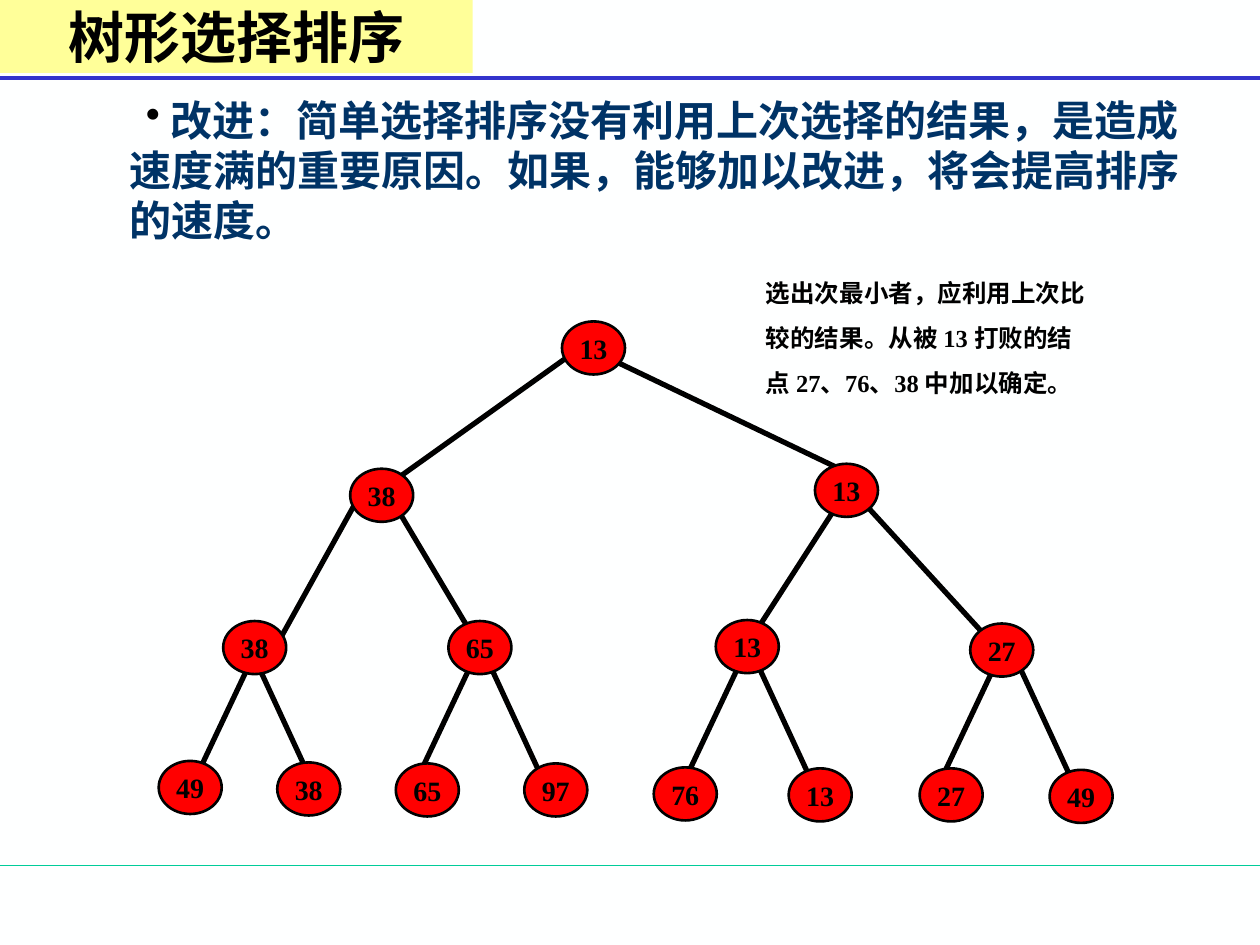
from lxml import etree
from pptx import Presentation
from pptx.dml.color import RGBColor
from pptx.enum.shapes import MSO_CONNECTOR, MSO_SHAPE
from pptx.enum.text import MSO_ANCHOR, PP_ALIGN
from pptx.oxml.ns import qn
from pptx.util import Cm, Pt

LINE = MSO_CONNECTOR.STRAIGHT
OVAL, RECT = MSO_SHAPE.OVAL, MSO_SHAPE.RECTANGLE
MIDDLE, CENTER = MSO_ANCHOR.MIDDLE, PP_ALIGN.CENTER

BLACK = RGBColor(0, 0, 0)
PAPER = RGBColor(0xFE, 0xFF, 0xFF)
RED = RGBColor(0xFF, 0, 0)
NAVY = RGBColor(0, 0x33, 0x66)
BLUE = RGBColor(0x33, 0x33, 0xCC)
GREEN = RGBColor(0, 0xCC, 0x99)
YELLOW = RGBColor(0xFF, 0xFF, 0x99)

SERIF, SANS = "Times New Roman", "Noto Sans CJK SC"
NODE_W, NODE_H = 1.27, 1.07
LEFT, RIGHT = (-1.53, 3.24), (1.35, 2.92)  # spans of the leaf edges

# Value, left and top of each node, level by level
NODES = [
    ("13", 8.13, 0),
    ("38", 3.86, 2.97), ("13", 13.23, 2.87),
    ("38", 1.3, 6.04), ("65", 5.84, 6.04),
    ("13", 11.23, 6.02), ("27", 16.36, 6.09),
    ("49", 0, 8.86), ("38", 2.39, 8.89), ("65", 4.78, 8.91),
    ("97", 7.37, 8.91), ("76", 9.98, 8.99), ("13", 12.7, 9.01),
    ("27", 15.34, 9.01), ("49", 17.96, 9.04),
]
# Start and span of each edge, in the order of the child nodes
EDGES = [
    (8.53, 0.51, (-4.19, 2.99)), (8.84, 0.63, (5.26, 2.52)),
    (4.22, 3.2, (-2.04, 3.68)), (4.72, 3.63, (1.66, 2.79)),
    (13.84, 3.45, (-2.08, 3.23)), (14.07, 3.5, (3, 3.28)),
    (2.06, 6.42, LEFT), (1.8, 6.5, RIGHT),
    (6.58, 6.32, LEFT), (6.63, 6.83, RIGHT),
    (11.94, 6.42, LEFT), (11.89, 6.52, RIGHT),
    (17.04, 6.55, LEFT), (17.2, 6.63, RIGHT),
]
NOTE = ["选出次最小者，应利用上次比", "较的结果。从被 13 打败的结", "点 27、76、38 中加以确定。"]
BODY = (" 改进：简单选择排序没有利用上次选择的结果，是造成速度满的重要原因。"
        "如果，能够加以改进，将会提高排序的速度。")


def style(para, size, name=SERIF, color=BLACK):
    for run in para.runs:
        font = run.font
        font.size, font.name, font.bold = Pt(size), name, True
        font.color.rgb = color


def add_line(slide, x, y, dx, dy, color, width):
    line = slide.shapes.add_connector(LINE, Cm(x), Cm(y), Cm(x + dx), Cm(y + dy))
    line.line.color.rgb, line.line.width = color, Pt(width)
    etree.SubElement(line._element.spPr, qn("a:effectLst"))


def add_label(slide, kind, x, y, w, h, text, size, fill):
    """Add a filled shape with a centred label and no outline."""
    shape = slide.shapes.add_shape(kind, Cm(x), Cm(y), Cm(w), Cm(h))
    shape.shadow.inherit = False
    shape.fill.solid()
    shape.fill.fore_color.rgb = fill
    shape.line.fill.background()
    frame = shape.text_frame
    frame.text, frame.vertical_anchor = text, MIDDLE
    frame.paragraphs[0].alignment = CENTER
    style(frame.paragraphs[0], size)
    return shape


def add_box(slide, x, y, w, h, text):
    frame = slide.shapes.add_textbox(Cm(x), Cm(y), Cm(w), Cm(h)).text_frame
    frame.word_wrap = True
    frame.text = text
    return frame


def add_tree(slide, x, y):
    for left, top, span in EDGES:
        add_line(slide, x + left, y + top, *span, BLACK, 3)
    for text, left, top in NODES:
        node = add_label(slide, OVAL, x + left, y + top, NODE_W, NODE_H, text, 16, RED)
        node.line.color.rgb, node.line.width = BLACK, Pt(1.5)
        node.text_frame.word_wrap = False


def add_body(slide, x, y, w, h):
    para = add_box(slide, x, y, w, h, BODY).paragraphs[0]
    props = para._p.get_or_add_pPr()
    props.set("marL", str(Cm(2.36)))
    props.set("indent", str(Cm(0.33)))
    tint = etree.SubElement(props, qn("a:buClr"))
    etree.SubElement(tint, qn("a:srgbClr"), val=str(BLACK))
    etree.SubElement(props, qn("a:buChar"), char="•")
    para.line_spacing = Pt(28.7)
    style(para, 24, SANS, NAVY)


def add_note(slide, x, y, w, h):
    frame = add_box(slide, x, y, w, h, "\n".join(NOTE))
    for i, para in enumerate(frame.paragraphs):
        para.space_before = Pt(8.8 if i else 0)
        style(para, 14)


def main():
    deck = Presentation()
    deck.slide_width, deck.slide_height = Cm(25.4), Cm(19.05)
    slide = deck.slides.add_slide(deck.slide_layouts[6])
    slide.background.fill.solid()
    slide.background.fill.fore_color.rgb = PAPER
    add_line(slide, 0, 17.45, 25.4, 0, GREEN, 0.75)
    add_line(slide, 0, 1.57, 25.4, 0, BLUE, 2.25)
    add_body(slide, 0, 1.78, 24.77, 3.3)
    add_tree(slide, 3.2, 6.48)
    add_note(slide, 15.19, 5.49, 7.04, 3.84)
    add_label(slide, RECT, 0, 0, 9.53, 1.47, "树形选择排序", 32, YELLOW)
    deck.save("out.pptx")


if __name__ == "__main__":
    main()
